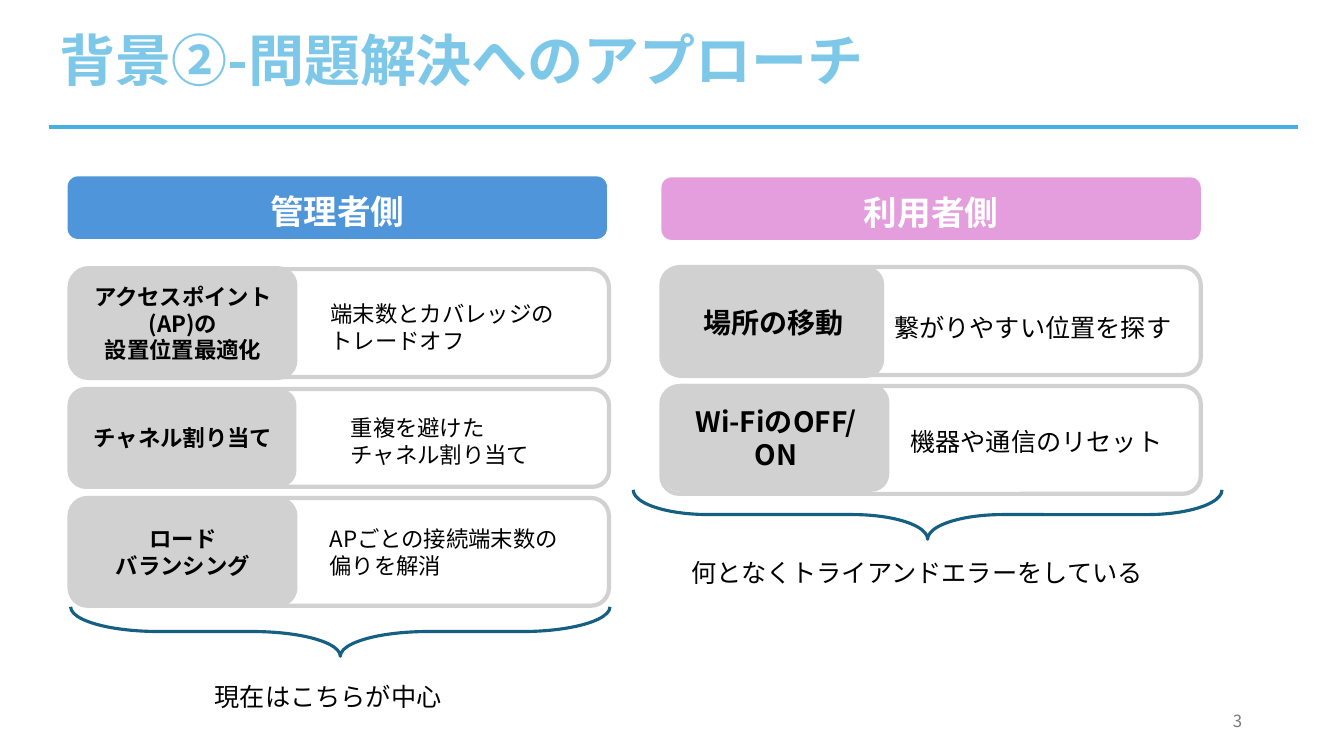
from pptx import Presentation
from pptx.dml.color import RGBColor
from pptx.enum.shapes import MSO_CONNECTOR, MSO_SHAPE
from pptx.enum.text import MSO_ANCHOR, MSO_AUTO_SIZE, PP_ALIGN
from pptx.oxml.ns import qn
from pptx.util import Inches, Pt
from lxml import etree

ROUNDED = MSO_SHAPE.ROUNDED_RECTANGLE
BRACE = MSO_SHAPE.RIGHT_BRACE
STRAIGHT = MSO_CONNECTOR.STRAIGHT
TOP, MIDDLE, BOTTOM = MSO_ANCHOR.TOP, MSO_ANCHOR.MIDDLE, MSO_ANCHOR.BOTTOM
LEFT, CENTER, RIGHT = PP_ALIGN.LEFT, PP_ALIGN.CENTER, PP_ALIGN.RIGHT
FIXED, GROW = MSO_AUTO_SIZE.NONE, MSO_AUTO_SIZE.SHAPE_TO_FIT_TEXT

FONT = "Noto Sans CJK JP"
COLORS = {
    "accent": "46B1E1", "brace": "156082", "admin": "4E95D9", "user": "E59EDD",
    "gray": "D1D1D1", "white": "FFFFFF", "black": "000000", "number": "797979",
}
CARD_WIDTH = 5.35


class SlideBuilder:
    def __init__(self, slide):
        self.slide = slide

    def color(self, name):
        return RGBColor.from_string(COLORS[name])

    def fill_text(self, shape, text, size, color="black", bold=False, align=LEFT, anchor=TOP):
        """A newline starts a paragraph, a vertical tab breaks the line."""
        frame = shape.text_frame
        frame.word_wrap = True
        frame.vertical_anchor = anchor
        for index, content in enumerate(text.split("\n")):
            paragraph = frame.add_paragraph() if index else frame.paragraphs[0]
            paragraph.alignment = align
            for number, line in enumerate(content.split("\v")):
                if number:
                    paragraph.add_line_break()
                run = paragraph.add_run()
                run.text = line
                run.font.name = FONT
                run.font.size = Pt(size)
                run.font.bold = bold
                run.font.color.rgb = self.color(color)
                east_asian = etree.Element(qn("a:ea"), typeface=FONT)
                run.font._element.find(qn("a:latin")).addnext(east_asian)

    def title(self, text):
        shape = self.slide.shapes.title
        shape.left, shape.top = Inches(0.49), Inches(0)
        shape.width, shape.height = Inches(12.38), Inches(1.26)
        self.fill_text(shape, text, 40, "accent", True, LEFT, MIDDLE)
        shape.text_frame.auto_size = FIXED
        paragraph = shape.text_frame.paragraphs[0]
        paragraph.line_spacing = 0.9
        for fill in paragraph._p.iter(qn("a:srgbClr")):
            etree.SubElement(fill, qn("a:alpha"), val="70000")

    def rule(self, left, right, top):
        line = self.slide.shapes.add_connector(
            STRAIGHT, Inches(left), Inches(top), Inches(right), Inches(top))
        line.line.color.rgb = self.color("accent")
        line.line.width = Pt(2.25)
        etree.SubElement(line._element.spPr, qn("a:effectLst"))

    def shape(self, kind, box, fill=None, line=None, line_width=0):
        shape = self.slide.shapes.add_shape(kind, *map(Inches, box))
        shape.shadow.inherit = False
        if fill:
            shape.fill.solid()
            shape.fill.fore_color.rgb = self.color(fill)
        else:
            shape.fill.background()
        if line:
            shape.line.color.rgb = self.color(line)
            shape.line.width = Pt(line_width)
        else:
            shape.line.fill.background()
        return shape

    def text(self, box, text, size, auto_size=GROW, wrap=True, **style):
        shape = self.slide.shapes.add_textbox(*map(Inches, box))
        self.fill_text(shape, text, size, **style)
        shape.text_frame.word_wrap = wrap
        shape.text_frame.auto_size = auto_size

    def header(self, left, top, text, fill):
        shape = self.shape(ROUNDED, (left, top, CARD_WIDTH, 0.62), fill)
        self.fill_text(shape, text, 24, "white", True, CENTER, BOTTOM)

    def card(self, frame, label_box, label, label_size, label_line, note_box, note, note_size):
        left, top, height = frame
        self.shape(ROUNDED, (left, top, CARD_WIDTH, height), "white", "gray", 3)
        shape = self.shape(ROUNDED, label_box, "gray", label_line, 1.5)
        self.fill_text(shape, label, label_size, "black", True, CENTER, MIDDLE)
        self.text(note_box, note, note_size)

    def brace(self, left, top, width, curve):
        # The brace is drawn upright, then turned about its centre
        depth = 0.49
        shift = (width - depth) / 2
        shape = self.shape(BRACE, (left + shift, top - shift, depth, width), None, "brace", 2.25)
        shape.rotation = 90
        shape.adjustments[0] = curve
        shape.adjustments[1] = 0.5


def main():
    presentation = Presentation()
    presentation.slide_width, presentation.slide_height = Inches(13.33), Inches(7.5)
    slide = presentation.slides.add_slide(presentation.slide_layouts[5])
    builder = SlideBuilder(slide)

    # Heading
    builder.rule(0.49, 12.87, 1.26)
    builder.title("背景②-問題解決へのアプローチ")
    builder.header(0.67, 1.75, "管理者側", "admin")
    builder.header(6.56, 1.76, "利用者側", "user")

    # Administrator side: frame, label, note
    admin_cards = [
        ((0.69, 2.67, 1.07), (0.69, 2.65, 2.25, 1.11), "アクセスポイント(AP)の\v設置位置最適化", "gray",
         (3.18, 2.93, 2.94, 0.64), "端末数とカバレッジの\vトレードオフ"),
        ((0.69, 3.86, 0.97), (0.69, 3.86, 2.25, 0.97), "チャネル割り当て", None,
         (3.38, 4.06, 3.02, 0.64), "重複を避けた\vチャネル割り当て"),
        ((0.69, 4.94, 1.07), (0.69, 4.94, 2.25, 1.07), "ロード\nバランシング", "gray",
         (3.17, 5.16, 2.74, 0.64), "APごとの接続端末数の\v偏りを解消"),
    ]
    for frame, label_box, label, line, note_box, note in admin_cards:
        builder.card(frame, label_box, label, 16, line, note_box, note, 16)

    # User side: frame, label, note
    user_cards = [
        ((6.56, 2.65, 1.07), (6.57, 2.64, 2.2, 1.11), "場所の移動",
         (8.77, 3.05, 3.66, 0.4), "繋がりやすい位置を探す"),
        ((6.56, 3.83, 1.07), (6.57, 3.81, 2.25, 1.07), "Wi-FiのOFF/ON",
         (8.93, 4.18, 2.86, 0.4), "機器や通信のリセット"),
    ]
    for frame, label_box, label, note_box, note in user_cards:
        builder.card(frame, label_box, label, 20, None, note_box, note, 18)

    # Braces with their conclusions
    builder.brace(0.7, 6.02, CARD_WIDTH, 1.78)
    builder.text((2.03, 6.71, 2.55, 0.4), "現在はこちらが中心", 18)
    builder.brace(6.28, 4.86, 5.84, 1.52)
    builder.text((6.76, 5.48, 4.75, 0.4), "何となくトライアンドエラーをしている", 18, wrap=False)

    # Slide number
    builder.text((9.42, 6.95, 3, 0.4), "3", 12, FIXED, color="number", align=RIGHT, anchor=MIDDLE)

    presentation.save("out.pptx")


if __name__ == "__main__":
    main()
